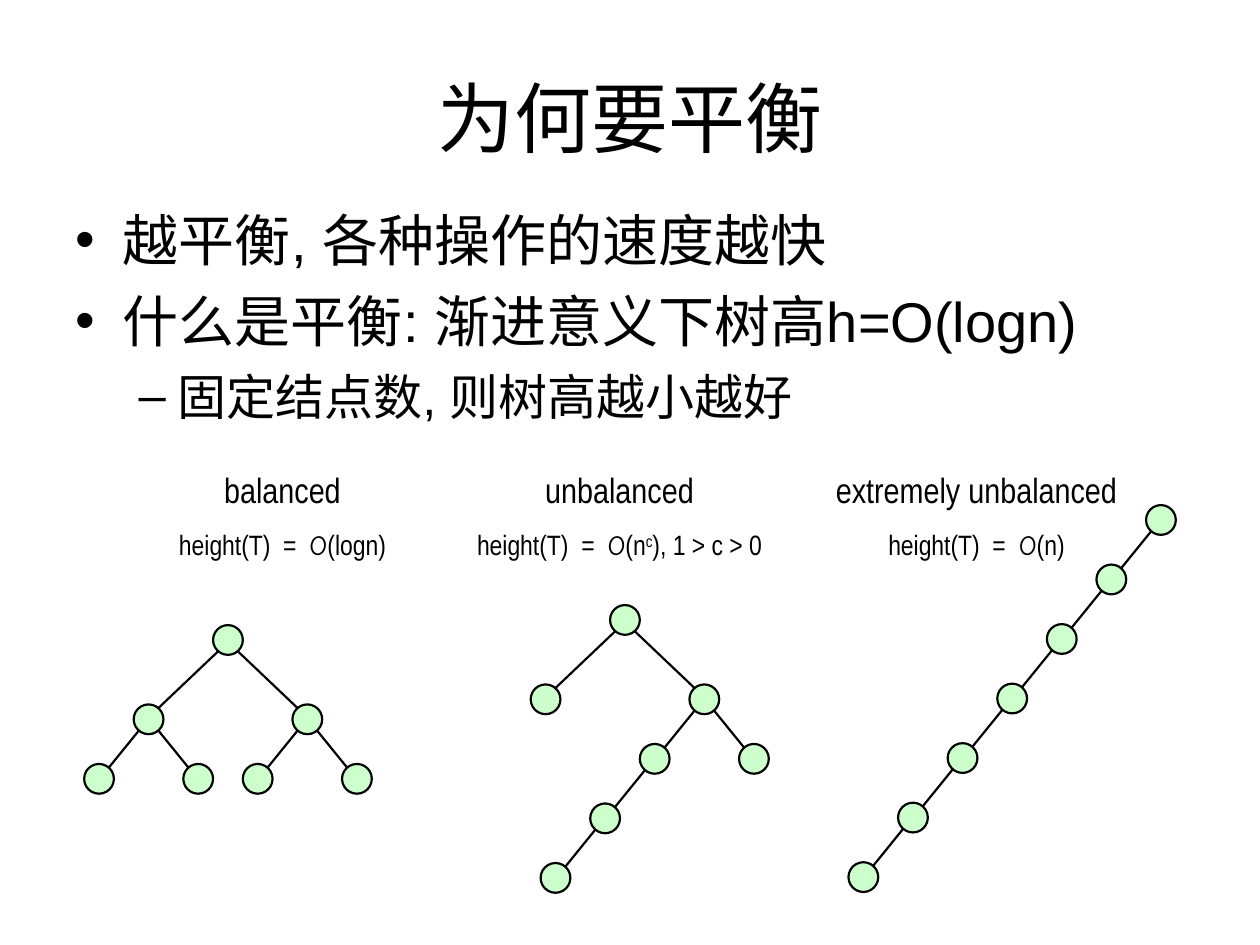
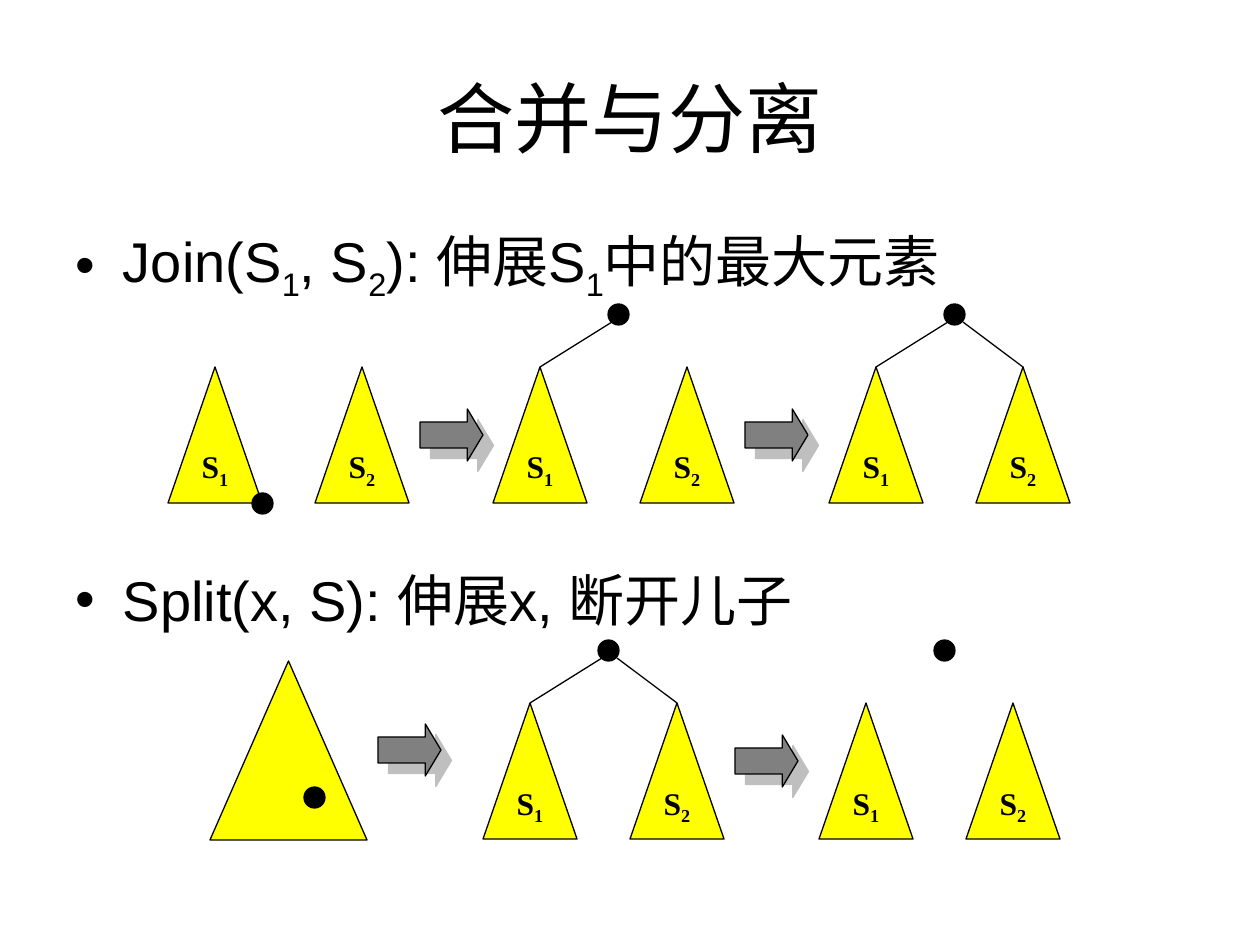
from lxml.etree import SubElement
from pptx import Presentation
from pptx.dml.color import RGBColor
from pptx.enum.shapes import MSO_CONNECTOR, MSO_SHAPE
from pptx.enum.text import MSO_ANCHOR, MSO_AUTO_SIZE, PP_ALIGN
from pptx.oxml.ns import qn
from pptx.util import Emu, Pt

SCALE = 914400 / 126
GRID = 9.92
COLORS = {"ink": "000000", "node": "CCFFCC", "subtree": "FFFF00", "arrow": "808080"}
TITLE_BOX = (63, 38, 1134, 157)
TITLE_FONT = {"name": "Arial", "size": Pt(44)}
BODY_FONT = {"name": "Arial", "size": Pt(32)}
SUBTREE_FONT = {"name": "Times New Roman", "size": Pt(18), "bold": True}
HEADING_FONT = {"name": "Arial Narrow", "size": Pt(20)}
FORMULA_FONT = {"name": "Arial Narrow", "size": Pt(16)}
ORDER_FONT = {"name": "Comic Neue", "size": Pt(16)}
SUBSCRIPT, SUPERSCRIPT = -25000, 30000
NODE_LINE, THIN_LINE = 1.25, 0.74
SUBTREE_SIZE = (94, 136)
SUBTREE_STEP = 147
DOT = 21


def emu(*pixels):
    """Turn pixel lengths into EMU."""
    return [Emu(round(length * SCALE)) for length in pixels]


def color(name):
    """Look up a named colour."""
    return RGBColor.from_string(COLORS[name])


def apply_format(target, values):
    """Set each attribute in a dict of format values."""
    for name, value in values.items():
        setattr(target, name, value)


def add_run(paragraph, text, font, baseline=0):
    """Append a formatted run, raised or lowered by the baseline."""
    run = paragraph.add_run()
    run.text = text
    apply_format(run.font, font)
    run.font.color.rgb = color("ink")
    if baseline:
        run._r.get_or_add_rPr().set("baseline", str(baseline))


def add_figure(slide, preset, box, fill, width):
    """Add a filled, outlined preset shape without a shadow."""
    shape = slide.shapes.add_shape(preset, *emu(*box))
    shape.shadow.inherit = False
    shape.fill.solid()
    shape.fill.fore_color.rgb = color(fill)
    shape.line.color.rgb = color("ink")
    shape.line.width = Pt(width)
    return shape


def add_line(slide, start, end, width):
    """Add a straight black connector without a shadow."""
    line = slide.shapes.add_connector(MSO_CONNECTOR.STRAIGHT, *emu(*start, *end))
    line.line.color.rgb = color("ink")
    line.line.width = Pt(width)
    SubElement(line._element.spPr, qn("a:effectLst"))


def place(shape, box):
    """Move a placeholder to a pixel box."""
    apply_format(shape, dict(zip(("left", "top", "width", "height"), emu(*box))))


def add_slide(presentation, title, body_box, items):
    """Add a slide with a title and a list of (level, size, space before, runs)."""
    slide = presentation.slides.add_slide(presentation.slide_layouts[1])
    heading, body = slide.placeholders
    for shape, box in ((heading, TITLE_BOX), (body, body_box)):
        place(shape, box)
        shape.text_frame.auto_size = MSO_AUTO_SIZE.NONE
    add_run(heading.text_frame.paragraphs[0], title, TITLE_FONT)
    for index, (level, size, space, runs) in enumerate(items):
        frame = body.text_frame
        paragraph = frame.add_paragraph() if index else frame.paragraphs[0]
        apply_format(paragraph, {"level": level, "space_before": Pt(space)})
        for text, *baseline in runs:
            add_run(paragraph, text, BODY_FONT | {"size": Pt(size)}, *baseline)
    return slide


def draw_tree(slide, center, branches):
    """Draw a node at its centre and its branches (dx, dy, branches) in grid steps."""
    x, y = center
    for across, down, children in branches:
        child = (x + across * GRID, y + down * GRID)
        side = GRID if across > 0 else -GRID
        drop = 1.15 * GRID
        add_line(slide, (x + side, y + drop), (child[0] - side, child[1] - drop), NODE_LINE)
        draw_tree(slide, child, children)
    size = 3 * GRID
    add_figure(slide, MSO_SHAPE.OVAL, (x - size / 2, y - size / 2, size, size), "node", NODE_LINE)


def chain(length):
    """Return branches that run down to the left for a number of steps."""
    return [(-5, 6, chain(length - 1))] if length else []


def add_tree_label(slide, left, heading, runs):
    """Add the heading of a tree and its height formula."""
    box = slide.shapes.add_textbox(*emu(left, 465, 297, 100))
    frame = box.text_frame
    margins = dict.fromkeys(
        ("margin_left", "margin_right", "margin_top", "margin_bottom"), emu(5)[0])
    apply_format(frame, margins | {"word_wrap": False, "vertical_anchor": MSO_ANCHOR.MIDDLE})
    first, second = frame.paragraphs[0], frame.add_paragraph()
    apply_format(first, {"alignment": PP_ALIGN.CENTER, "space_before": Pt(12.5)})
    apply_format(second, {"alignment": PP_ALIGN.CENTER, "space_before": Pt(10)})
    add_run(first, heading, HEADING_FONT)
    add_run(second, "height(T)  =  ", FORMULA_FONT)
    add_run(second, "O", ORDER_FONT)
    for text, *baseline in runs:
        add_run(second, text, FORMULA_FONT, *baseline)


def add_dot(slide, left, top):
    """Add a black element dot."""
    add_figure(slide, MSO_SHAPE.OVAL, (left, top, DOT, DOT), "ink", THIN_LINE)


def add_subtree(slide, left, top, number):
    """Add a triangle labelled S with a subscript."""
    shape = add_figure(slide, MSO_SHAPE.ISOSCELES_TRIANGLE,
                       (left, top, *SUBTREE_SIZE), "subtree", THIN_LINE)
    apply_format(shape.text_frame, {"word_wrap": False, "vertical_anchor": MSO_ANCHOR.MIDDLE})
    paragraph = shape.text_frame.paragraphs[0]
    paragraph.alignment = PP_ALIGN.CENTER
    add_run(paragraph, "S", SUBTREE_FONT)
    add_run(paragraph, number, SUBTREE_FONT, SUBSCRIPT)


def add_pair(slide, left, top, dot=(115, -63), links=0):
    """Add subtrees S1 and S2, their dot, and links from the dot to the tips."""
    for index, number in enumerate("12"):
        add_subtree(slide, left + index * SUBTREE_STEP, top, number)
    ends = ((119, 47), (134, 47 + SUBTREE_STEP))
    for start, tip in ends[:links]:
        add_line(slide, (left + start, top - 45), (left + tip, top), THIN_LINE)
    add_dot(slide, left + dot[0], top + dot[1])


def add_step_arrow(slide, left, top):
    """Add a grey arrow with a half-transparent shadow."""
    arrow = add_figure(slide, MSO_SHAPE.RIGHT_ARROW, (left, top, 63, 52), "arrow", THIN_LINE)
    arrow.adjustments[0], arrow.adjustments[1] = 0.5, 0.3
    effects = arrow._element.spPr.find(qn("a:effectLst"))
    shadow = SubElement(effects, qn("a:outerShdw"), blurRad="0", dist=str(Pt(8.5)),
                        dir="2700000", algn="ctr", rotWithShape="0")
    tint = SubElement(shadow, qn("a:srgbClr"), val=COLORS["arrow"])
    SubElement(tint, qn("a:alpha"), val="50000")


def build_balance_slide(presentation):
    """Build the slide on why trees are kept balanced."""
    slide = add_slide(presentation, "为何要平衡", (63, 199, 1134, 624), [
        (0, 32, 8, [("越平衡, 各种操作的速度越快",)]),
        (0, 32, 8, [("什么是平衡: 渐进意义下树高h=O(logn)",)]),
        (1, 28, 7, [("固定结点数, 则树高越小越好",)]),
    ])
    leaves = [(-5, 6, []), (5, 6, [])]
    draw_tree(slide, (228, 640), [(-8, 8, leaves), (8, 8, leaves)])
    draw_tree(slide, (625, 620), [(-8, 8, []), (8, 8, chain(3) + [(5, 6, [])])])
    draw_tree(slide, (1161, 520), chain(6))
    add_tree_label(slide, 134, "balanced", [("(logn)",)])
    add_tree_label(slide, 471, "unbalanced",
                   [("(n",), ("c", SUPERSCRIPT), ("), 1 > c > 0",)])
    add_tree_label(slide, 828, "extremely unbalanced", [("(n)",)])


def build_join_split_slide(presentation):
    """Build the slide on joining and splitting trees."""
    slide = add_slide(presentation, "合并与分离", (63, 220, 1134, 624), [
        (0, 32, 8, [("Join(S",), ("1", SUBSCRIPT), (", S",), ("2", SUBSCRIPT),
                    ("): 伸展S",), ("1", SUBSCRIPT), ("中的最大元素",)]),
        (0, 32, 150, [("Split(x, S): 伸展x, 断开儿子",)]),
    ])
    add_pair(slide, 168, 367, dot=(84, 126))
    add_pair(slide, 493, 367, links=1)
    add_pair(slide, 829, 367, links=2)
    add_pair(slide, 483, 703, links=2)
    add_pair(slide, 819, 703)
    add_figure(slide, MSO_SHAPE.ISOSCELES_TRIANGLE, (210, 661, 157, 179), "subtree", THIN_LINE)
    add_dot(slide, 304, 787)
    for left, top in ((420, 409), (745, 409), (378, 724), (735, 735)):
        add_step_arrow(slide, left, top)


def main():
    """Build and save the presentation."""
    presentation = Presentation()
    apply_format(presentation, dict(zip(("slide_width", "slide_height"), emu(1260, 945))))
    build_balance_slide(presentation)
    build_join_split_slide(presentation)
    presentation.save("out.pptx")


main()
